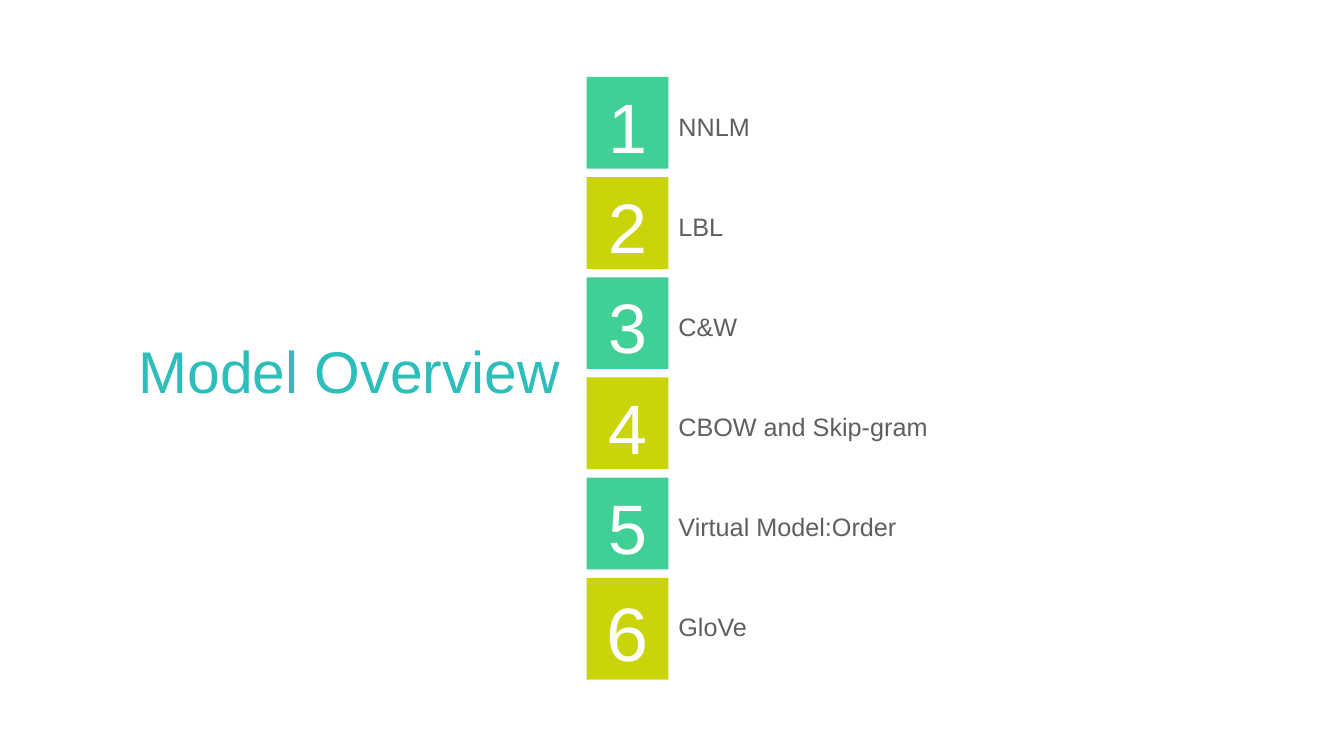
from dataclasses import dataclass

from pptx import Presentation
from pptx.dml.color import RGBColor
from pptx.enum import shapes, text
from pptx.util import Pt


@dataclass(frozen=True)
class Theme:
    font: str = "Arial"
    title: str = "2CBEBB"
    label: str = "5F5F5F"
    number: str = "FFFFFF"
    tiles: tuple = ("40D096", "CAD40A")
    title_size: float = 42
    label_size: float = 18
    label_leading: float = 23
    number_size: float = 50
    last_number_size: float = 54


THEME = Theme()
MODELS = ["NNLM", "LBL", "C&W", "CBOW and Skip-gram", "Virtual Model:Order", "GloVe"]


def write(sp, words, size, color, align, anchor):
    """Put one styled paragraph in a shape and return it."""
    tf = sp.text_frame
    tf.word_wrap = True
    tf.vertical_anchor = anchor
    p = tf.paragraphs[0]
    p.text = words
    p.alignment = align
    p.font.name = THEME.font
    p.font.size = Pt(size)
    p.font.color.rgb = RGBColor.from_string(color)
    return p


def add_title(s, words, left, top, width, height):
    sp = s.shapes.add_textbox(Pt(left), Pt(top), Pt(width), Pt(height))
    write(sp, words, THEME.title_size, THEME.title,
          text.PP_ALIGN.CENTER, text.MSO_ANCHOR.TOP)


def add_tile(group, number, size, color, left, top, width, height):
    sp = group.shapes.add_shape(shapes.MSO_SHAPE.RECTANGLE,
                                Pt(left), Pt(top), Pt(width), Pt(height))
    sp.shadow.inherit = False
    sp.fill.solid()
    sp.fill.fore_color.rgb = RGBColor.from_string(color)
    sp.line.fill.background()
    write(sp, str(number), size, THEME.number,
          text.PP_ALIGN.CENTER, text.MSO_ANCHOR.MIDDLE)
    tf = sp.text_frame
    tf.margin_top, tf.margin_bottom = Pt(4), Pt(0)


def add_label(group, words, left, top, width, height):
    sp = group.shapes.add_textbox(Pt(left), Pt(top), Pt(width), Pt(height))
    p = write(sp, words, THEME.label_size, THEME.label,
              text.PP_ALIGN.LEFT, text.MSO_ANCHOR.MIDDLE)
    p.line_spacing = Pt(THEME.label_leading)


def add_agenda(s, models, left, top, width, height):
    """Stack numbered tiles with labels; the last tile is taller."""
    tile_w, tile_h, last_h = 58.5, 65.5, 72.7
    label_drop, label_h = 19.2, 30.2
    pitch = (height - last_h) / (len(models) - 1)
    for i, model in enumerate(models):
        last = i == len(models) - 1
        y = top + i * pitch
        group = s.shapes.add_group_shape()
        add_tile(group, i + 1,
                 THEME.last_number_size if last else THEME.number_size,
                 THEME.tiles[i % len(THEME.tiles)],
                 left, y, tile_w, last_h if last else tile_h)
        add_label(group, model, left + tile_w, y + label_drop,
                  width - tile_w, label_h)


def main():
    prs = Presentation()
    prs.slide_width, prs.slide_height = Pt(960), Pt(540)
    s = prs.slides.add_slide(prs.slide_layouts[6])
    add_title(s, "Model Overview", 89.3, 235.5, 320.4, 80)
    add_agenda(s, MODELS, 419, 55, 453.8, 430.4)
    prs.save("out.pptx")


if __name__ == "__main__":
    main()
